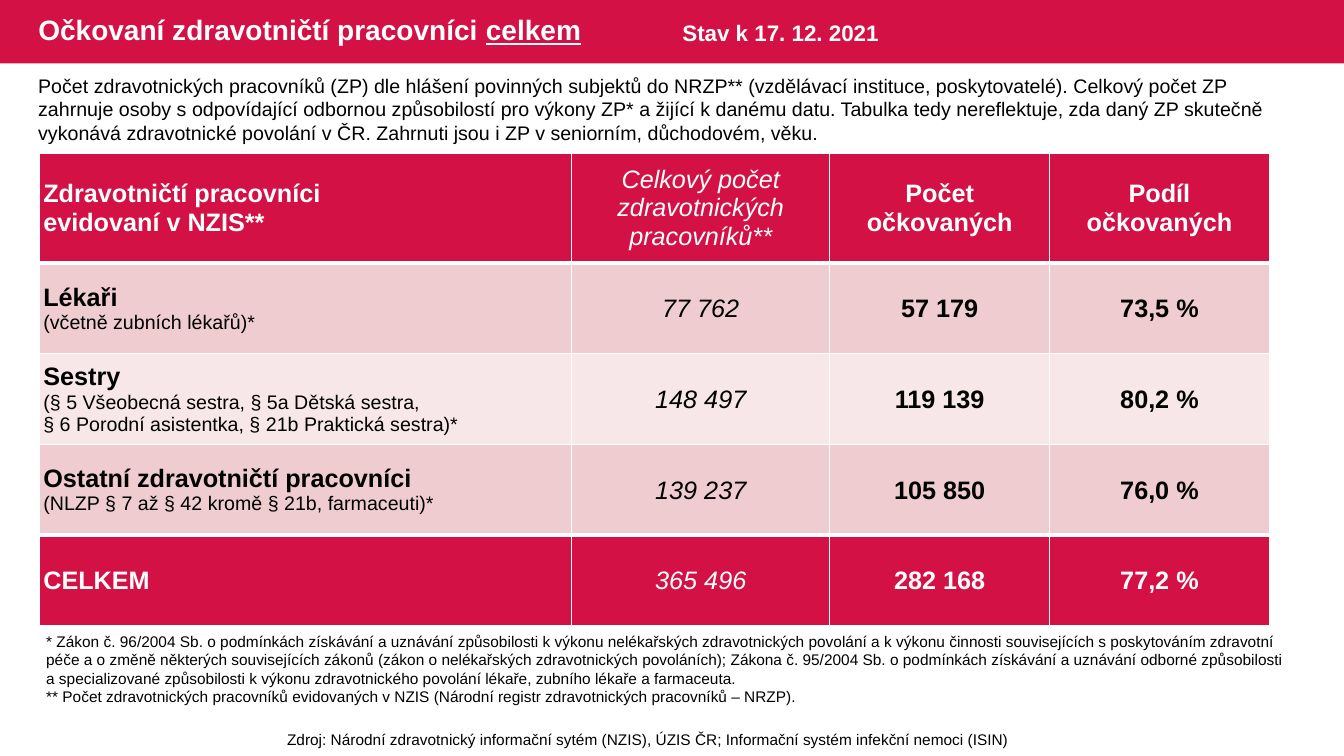
"""Build the slide on vaccinated health workers with its summary table."""
from lxml import etree
from pptx import Presentation
from pptx.dml.color import RGBColor
from pptx.enum import shapes, text
from pptx.oxml import ns
from pptx.util import Inches, Pt

COLORS = {"red": "D31145", "rose": "EFCCCF", "pale": "F7E7E9", "white": "FFFFFF", "black": "000000"}
LEFT, CENTER = text.PP_ALIGN.LEFT, text.PP_ALIGN.CENTER


def write_paragraph(frame, index, content, size, color, align=LEFT, bold=False, italic=False):
    para = frame.add_paragraph() if index else frame.paragraphs[0]
    para.alignment = align
    span = para.add_run()
    span.text = content
    span.font.name = "Arial"
    span.font.size = Pt(size)
    span.font.bold = bold
    span.font.italic = italic
    span.font.color.rgb = RGBColor.from_string(COLORS[color])
    return span


def set_borders(cell, top, bottom):
    properties = cell._tc.get_or_add_tcPr()
    for position, (side, width) in enumerate([("L", 1), ("R", 1), ("T", top), ("B", bottom)]):
        line = etree.Element(ns.qn(f"a:ln{side}"), w=str(Pt(width)))
        fill = etree.SubElement(line, ns.qn("a:solidFill"))
        etree.SubElement(fill, ns.qn("a:srgbClr"), val=COLORS["white"])
        properties.insert(position, line)


deck = Presentation()
deck.slide_width, deck.slide_height = Inches(13.33), Inches(7.5)
page = deck.slides.add_slide(deck.slide_layouts[5])

banner = page.shapes.add_shape(shapes.MSO_SHAPE.RECTANGLE, 0, 0, deck.slide_width, Inches(0.63))
banner.shadow.inherit = False
banner.fill.solid()
banner.fill.fore_color.rgb = RGBColor.from_string(COLORS["red"])
banner.line.fill.background()

title = page.shapes.title
title._element.addprevious(banner._element)
title.left, title.top, title.width, title.height = Inches(0.28), 0, Inches(8.13), Inches(0.63)
frame = title.text_frame
frame.vertical_anchor = text.MSO_ANCHOR.MIDDLE
frame.auto_size = text.MSO_AUTO_SIZE.NONE
write_paragraph(frame, 0, "Očkovaní zdravotničtí pracovníci ", 20, "white", bold=True)
frame.paragraphs[0].line_spacing = 0.9
span = frame.paragraphs[0].add_run()
span.text = "celkem"
span.font.name = "Arial"
span.font.size = Pt(20)
span.font.bold = True
span.font.underline = True
span.font.color.rgb = RGBColor.from_string(COLORS["white"])

rows = [
    (["Zdravotničtí pracovníci", "evidovaní v NZIS**"],
     "Celkový počet zdravotnických pracovníků**", "Počet očkovaných", "Podíl očkovaných"),
    (["Lékaři", "(včetně zubních lékařů)*"], "77 762", "57 179", "73,5 %"),
    (["Sestry", "(§ 5 Všeobecná sestra, § 5a Dětská sestra,",
      "§ 6 Porodní asistentka, § 21b Praktická sestra)*"], "148 497", "119 139", "80,2 %"),
    (["Ostatní zdravotničtí pracovníci", "(NLZP § 7 až § 42 kromě § 21b, farmaceuti)*"],
     "139 237", "105 850", "76,0 %"),
    (["CELKEM"], "365 496", "282 168", "77,2 %"),
]
row_fills = ["red", "rose", "pale", "rose", "red"]
rule_widths = [1, 3, 1, 1, 3, 1]

table = page.shapes.add_table(5, 4, Inches(0.39), Inches(1.52), Inches(12.2), Inches(4.69)).table
for column, width in zip(table.columns, [5.28, 2.56, 2.18, 2.18]):
    column.width = Inches(width)
for r, (row, fill) in enumerate(zip(rows, row_fills)):
    table.rows[r].height = Inches(0.9 if r else 1.09)
    color = "white" if fill == "red" else "black"
    for c, content in enumerate(row):
        cell = table.cell(r, c)
        cell.fill.solid()
        cell.fill.fore_color.rgb = RGBColor.from_string(COLORS[fill])
        set_borders(cell, rule_widths[r], rule_widths[r + 1])
        cell.vertical_anchor = text.MSO_ANCHOR.MIDDLE
        value_cell = r > 0 and c > 0
        cell.margin_left = cell.margin_right = Inches(0.01 if value_cell else 0.04)
        cell.margin_top = Inches(0.01 if value_cell else 0)
        cell.margin_bottom = 0
        if c:
            write_paragraph(cell.text_frame, 0, content, 18, color, CENTER, bold=c > 1, italic=c == 1)
            continue
        for i, label in enumerate(content):
            heading = r == 0 or i == 0
            write_paragraph(cell.text_frame, i, label, 18 if heading else 14, color, bold=heading)

notes = [
    (6.67, 0.14, 2.2, 0.37, 16, "white", LEFT, True, ["Stav k 17. 12. 2021"]),
    (0.36, 6.22, 12.53, 0.84, 11, "black", LEFT, False, [
        "* Zákon č. 96/2004 Sb. o podmínkách získávání a uznávání způsobilosti k výkonu nelékařských "
        "zdravotnických povolání a k výkonu činnosti souvisejících s poskytováním zdravotní péče a o změně "
        "některých souvisejících zákonů (zákon o nelékařských zdravotnických povoláních); Zákona č. 95/2004 "
        "Sb. o podmínkách získávání a uznávání odborné způsobilosti a specializované způsobilosti k výkonu "
        "zdravotnického povolání lékaře, zubního lékaře a farmaceuta.",
        "** Počet zdravotnických pracovníků evidovaných v NZIS (Národní registr zdravotnických "
        "pracovníků – NRZP)."]),
    (0.28, 0.68, 12.79, 0.81, 14, "black", LEFT, False, [
        "Počet zdravotnických pracovníků (ZP) dle hlášení povinných subjektů do NRZP** (vzdělávací instituce, "
        "poskytovatelé). Celkový počet ZP zahrnuje osoby s odpovídající odbornou způsobilostí pro výkony ZP* "
        "a žijící k danému datu. Tabulka tedy nereflektuje, zda daný ZP skutečně vykonává zdravotnické "
        "povolání v ČR. Zahrnuti jsou i ZP v seniorním, důchodovém, věku."]),
    (1.9, 7.19, 9.06, 0.29, 11, "black", CENTER, False, [
        "Zdroj: Národní zdravotnický informační sytém (NZIS), ÚZIS ČR; "
        "Informační systém infekční nemoci (ISIN)"]),
]
for left, top, width, height, size, color, align, bold, lines in notes:
    box = page.shapes.add_textbox(Inches(left), Inches(top), Inches(width), Inches(height))
    box.text_frame.word_wrap = True
    for i, line in enumerate(lines):
        write_paragraph(box.text_frame, i, line, size, color, align, bold)

deck.save("out.pptx")
